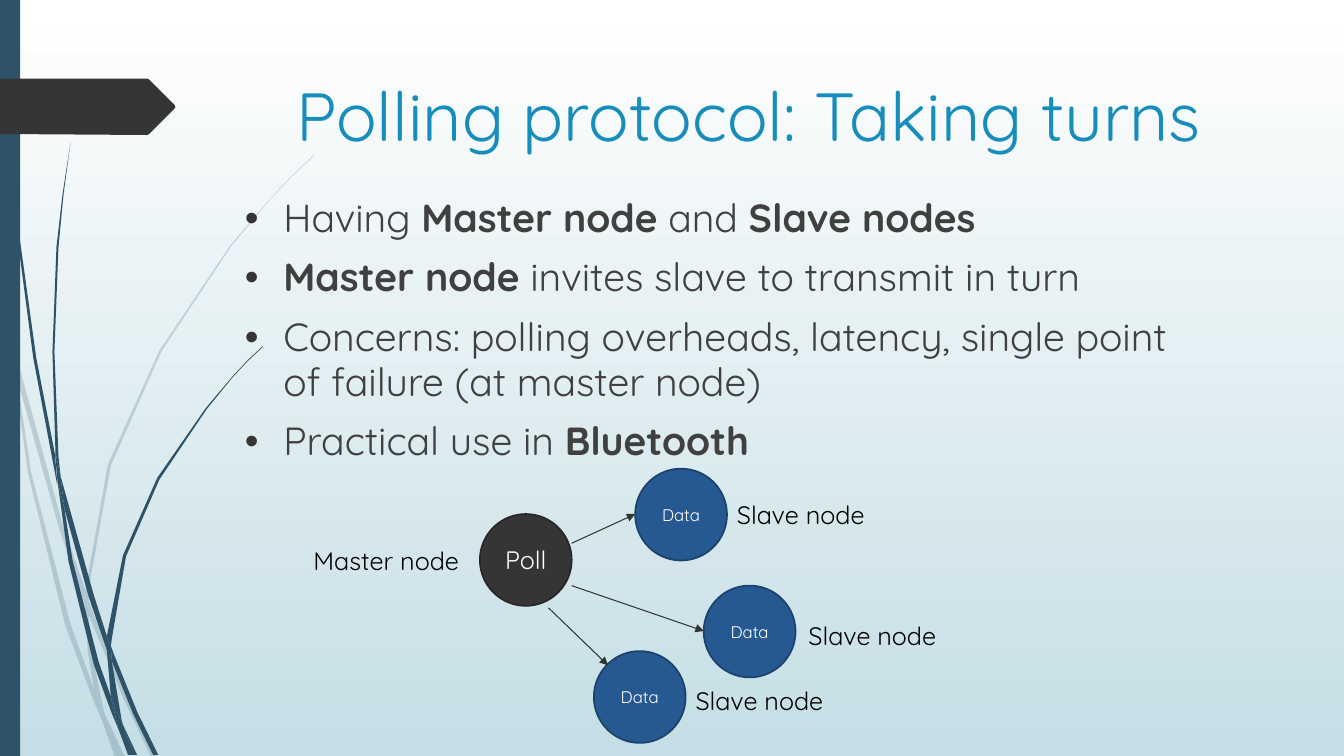
from lxml.etree import SubElement
from pptx import Presentation
from pptx.dml.color import RGBColor
from pptx.enum.shapes import MSO_CONNECTOR as Connector, MSO_SHAPE as Shape
from pptx.enum.text import MSO_ANCHOR as Anchor, MSO_AUTO_SIZE as AutoSize, PP_ALIGN as Align
from pptx.oxml.ns import qn
from pptx.util import Pt

EMU_PER_PX = 9144
FONT = "Quicksand"
TEAL, CHARCOAL = "2E5369", "353535"
NODE_SIZE = 91

PALE_BLADES = [
    "11,350 9,322 0,282 0,299 10,344",
    "58,522 84,599 85,586 62,520 14,345 17,376",
    "92,607 88,596 88,610 123,694 150,751 155,751 127,692",
    "119,751 124,751 105,711",
    "93,683 70,619 31,469 17,376 11,350 28,470 65,621 92,693 101,714 99,707",
    "84,599 87,646 93,683 96,692 105,711 103,706 91,646 88,610 88,608",
    "88,584 110,462 160,349 229,245 268,198 290,175 312,154 312,153 289,175 268,197 228,244 "
    "158,348 107,461 85,584 85,586 88,596",
    "101,714 114,751 119,751",
    "88,608 88,610 88,596 85,586 84,599",
    "96,692 93,683 99,707 101,714 119,751 105,711",
]
DARK_BLADES = [
    "7,110 17,233 33,355 56,477 57,481 55,457 55,453 36,355 19,232 8,109 5,48 4,0 3,0 4,48",
    "88,592 106,645 106,633 106,631 93,590 60,472 64,505",
    "113,649 110,641 111,656 132,708 152,749 157,749 136,706",
    "110,691 98,657 72,556 64,505 57,477 68,557 93,659 111,708 117,722 116,717",
    "60,472 58,453 54,349 58,245 63,193 70,141 62,193 56,245 52,349 55,449",
    "133,749 136,749 122,719",
    "57,477 64,505 60,472 55,449 55,453",
    "111,633 125,552 158,476 205,406 231,374 245,359 261,344 260,344 245,358 231,373 204,405 "
    "156,474 122,551 106,631 110,641",
    "117,722 127,749 131,749",
    "106,645 110,691 116,706 122,719 121,716 111,656 109,651",
    "106,645 109,651 111,656 110,641 106,631 106,633",
    "116,706 110,691 116,717 117,722 130,749 133,749 122,719",
]
TITLE_TAG = "0,78 146,78 148,79 173,104 174,106 173,108 148,133 146,134 0,133"
POINTS = [
    [("Having ", False), ("Master node", True), (" and ", False), ("Slave nodes", True)],
    [("Master node", True), (" invites slave to transmit in turn", False)],
    [("Concerns: polling overheads, latency, single point of failure (at master node)", False)],
    [("Practical use in ", False), ("Bluetooth", True)],
]
SLAVES = [
    {"node": (630, 465), "arrow": (567, 539, 630, 510), "label": (721, 490)},
    {"node": (698, 581), "arrow": (567, 581, 698, 626), "label": (792, 611)},
    {"node": (589, 646), "arrow": (544, 603, 603, 660), "label": (680, 675)},
]


def px(*lengths):
    return [length * EMU_PER_PX for length in lengths]


def rgb(color):
    return RGBColor.from_string(color)


def set_all(target, **formats):
    for key, value in formats.items():
        setattr(target, key, value)


def write(paragraph, text, size, color, bold=False):
    run = paragraph.add_run()
    run.text = text
    set_all(run.font, name=FONT, size=Pt(size), bold=bold)
    run.font.color.rgb = rgb(color)


def paint(shape, fill, line=None, opacity=None):
    shape.shadow.inherit = False
    shape.fill.solid()
    shape.fill.fore_color.rgb = rgb(fill)
    if opacity:
        color = shape.fill._xPr.find(qn("a:solidFill"))[0]
        SubElement(color, qn("a:alpha"), val=str(opacity * 1000))
    if line:
        shape.line.color.rgb = rgb(line)
        shape.line.width = Pt(1.25)
    else:
        shape.line.fill.background()


def add_outline(shapes, outline, fill, opacity=None):
    start, *rest = [px(*map(int, pair.split(","))) for pair in outline.split()]
    builder = shapes.build_freeform(*start)
    builder.add_line_segments(rest, close=True)
    paint(builder.convert_to_shape(), fill, opacity=opacity)


def add_grass(slide, blades, opacity=None):
    tuft = slide.shapes.add_group_shape()
    for blade in blades:
        add_outline(tuft.shapes, blade, TEAL, opacity)


def place_text(slide, placeholder, box):
    left, top, width, height = px(*box)
    set_all(placeholder, left=left, top=top, width=width, height=height)
    set_all(placeholder.text_frame, vertical_anchor=Anchor.TOP, auto_size=AutoSize.NONE)
    slide.shapes.element.append(placeholder.element)
    return placeholder.text_frame


def add_bullet(paragraph, phrases):
    set_all(paragraph, space_before=Pt(10), line_spacing=0.96, alignment=Align.LEFT)
    props = paragraph._p.get_or_add_pPr()
    indent = px(38)[0]
    props.set("marL", str(indent))
    props.set("indent", str(-indent))
    SubElement(SubElement(props, qn("a:buClr")), qn("a:srgbClr"), val=CHARCOAL)
    SubElement(props, qn("a:buFont"), typeface="Arial")
    SubElement(props, qn("a:buChar"), char="•")
    for text, bold in phrases:
        write(paragraph, text, 28, "404040", bold)


def add_node(slide, corner, text, size, fill, line):
    node = slide.shapes.add_shape(Shape.OVAL, *px(*corner, NODE_SIZE, NODE_SIZE))
    paint(node, fill, line)
    set_all(node.text_frame, vertical_anchor=Anchor.MIDDLE, word_wrap=True)
    caption = node.text_frame.paragraphs[0]
    caption.alignment = Align.CENTER
    write(caption, text, size, "FFFFFF")


def add_arrow(slide, ends):
    arrow = slide.shapes.add_connector(Connector.STRAIGHT, *px(*ends))
    arrow.line.color.rgb = rgb("333333")
    arrow.line.width = Pt(0.75)
    SubElement(arrow.line._get_or_add_ln(), qn("a:tailEnd"), type="triangle")
    SubElement(arrow._element.spPr, qn("a:effectLst"))


def add_label(slide, corner, width, text):
    label = slide.shapes.add_textbox(*px(*corner, width, 40)).text_frame
    set_all(label, word_wrap=False, auto_size=AutoSize.SHAPE_TO_FIT_TEXT)
    write(label.paragraphs[0], text, 18, "000000")


def main():
    deck = Presentation()
    deck.slide_width, deck.slide_height = px(1333, 750)
    slide = deck.slides.add_slide(deck.slide_layouts[1])

    backdrop = slide.background.fill
    backdrop.gradient()
    backdrop.gradient_angle = 270
    for stop, color, position in zip(backdrop.gradient_stops, ("FFFFFF", "C5DEE5"), (0, 1)):
        stop.color.rgb = rgb(color)
        stop.position = position

    add_grass(slide, PALE_BLADES, opacity=20)
    add_grass(slide, DARK_BLADES)
    paint(slide.shapes.add_shape(Shape.RECTANGLE, *px(0, 0, 20, 750)), TEAL)
    add_outline(slide.shapes, TITLE_TAG, CHARCOAL)

    title, body = slide.placeholders
    heading = place_text(slide, title, (284, 68, 975, 140)).paragraphs[0]
    heading.alignment = Align.LEFT
    write(heading, "Polling protocol: Taking turns", 48.6, "178DBB")
    bullets = place_text(slide, body, (233, 190, 975, 413))
    for i, phrases in enumerate(POINTS):
        add_bullet(bullets.add_paragraph() if i else bullets.paragraphs[0], phrases)

    add_node(slide, (476, 510), "Poll", 18, CHARCOAL, "272727")
    add_label(slide, (301, 536), 176, "Master node")
    for slave in SLAVES:
        add_node(slide, slave["node"], "Data", 12, "265991", "1C426B")
        add_arrow(slide, slave["arrow"])
        add_label(slide, slave["label"], 158, "Slave node")

    deck.save("out.pptx")


if __name__ == "__main__":
    main()
